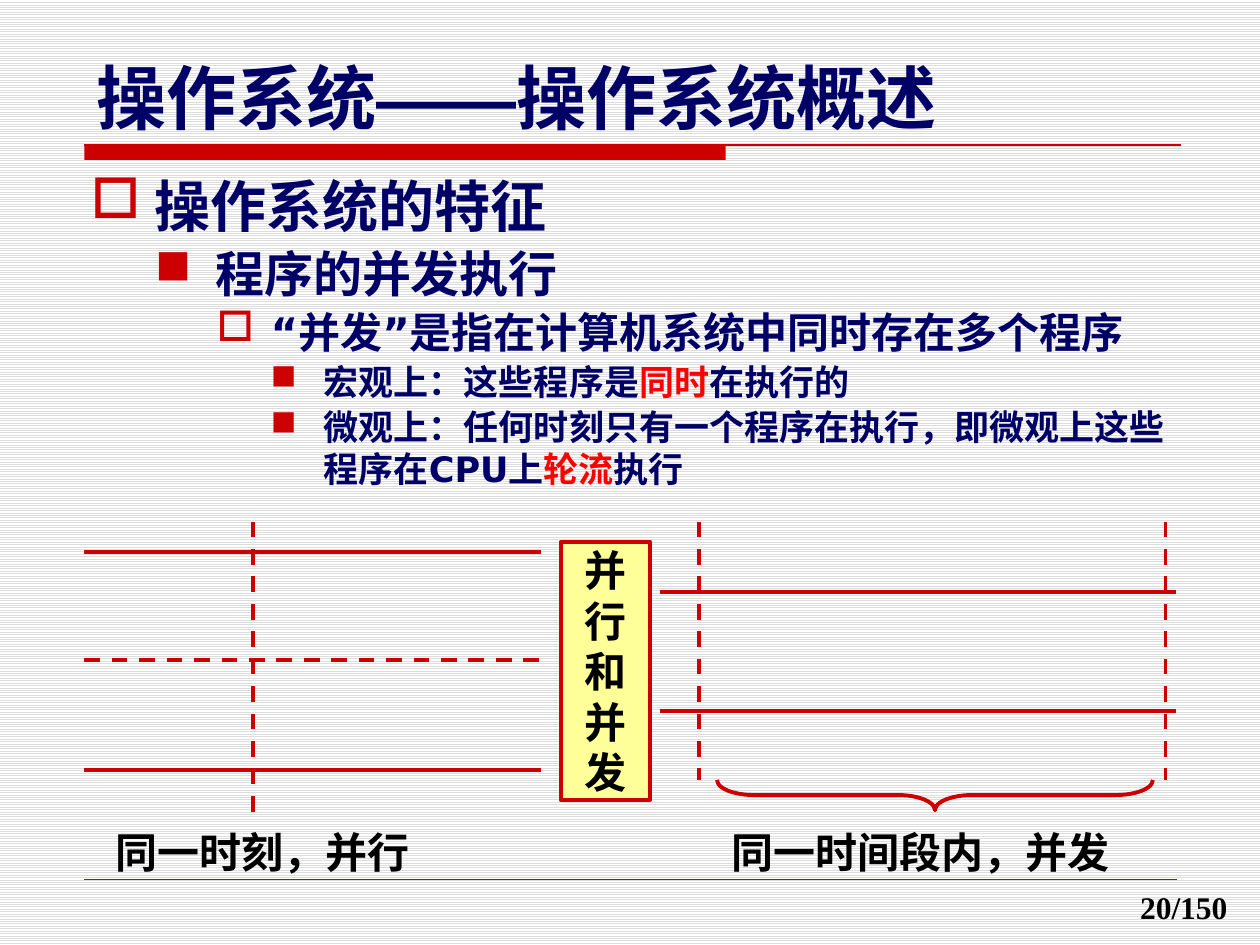
"""Build a slide on concurrent and parallel execution of programs."""
from lxml.etree import SubElement
from pptx import Presentation
from pptx.dml.color import RGBColor
from pptx.enum.dml import MSO_LINE, MSO_PATTERN
from pptx.enum.shapes import MSO_CONNECTOR, MSO_SHAPE
from pptx.enum.text import MSO_ANCHOR, PP_ALIGN
from pptx.oxml.ns import qn
from pptx.util import Inches, Pt

RED, NAVY, BLACK, HOT = "CC0000", "000066", "000000", "FF0000"
SANS = "DejaVu Sans"
color = RGBColor.from_string


def add_run(para, text, size, tint, face=SANS):
    run = para.add_run()
    run.text = text
    form = {"size": Pt(size), "bold": True, "name": face}
    for key, val in form.items():
        setattr(run.font, key, val)
    run.font.color.rgb = color(tint)
    SubElement(run.font._element, qn("a:ea"), typeface=face)


def add_line(x1, y1, x2, y2, width=2.25, dash=None):
    ends = [Inches(v) for v in (x1, y1, x2, y2)]
    line = slide.shapes.add_connector(MSO_CONNECTOR.STRAIGHT, *ends)
    line.line.color.rgb = color(RED)
    form = {"width": Pt(width), "dash_style": dash}
    for key, val in form.items():
        setattr(line.line, key, val)
    SubElement(line._element.spPr, qn("a:effectLst"))


prs = Presentation()
prs.slide_width, prs.slide_height = Inches(10), Inches(7.5)
slide = prs.slides.add_slide(prs.slide_layouts[6])
back = slide.background.fill
back.patterned()
back.pattern = MSO_PATTERN.LIGHT_HORIZONTAL
back.fore_color.rgb = color("DDDDDD")
back.back_color.rgb = color("FFFFFF")

# name: preset, frame, fill, line width
shapes = {
    "bar": (MSO_SHAPE.RECTANGLE, (0.67, 1.15, 5.09, 0.12), RED, 0),
    "brace": (MSO_SHAPE.RIGHT_BRACE, (7.3, 4.58, 0.24, 3.46), None, 2.25),
    "label": (MSO_SHAPE.RECTANGLE, (4.45, 4.3, 0.71, 2.05), "FFFF99", 2.25),
}
made = {}
for name, (kind, frame, fill, width) in shapes.items():
    shape = slide.shapes.add_shape(kind, *[Inches(v) for v in frame])
    shape.shadow.inherit = False
    if fill:
        shape.fill.solid()
        shape.fill.fore_color.rgb = color(fill)
    else:
        shape.fill.background()
    if width:
        shape.line.color.rgb = color(RED)
        shape.line.width = Pt(width)
    else:
        shape.line.fill.background()
    made[name] = shape

made["brace"].rotation = 90
made["brace"].adjustments[0] = 1.222
made["brace"].adjustments[1] = 0.5
frame = made["label"].text_frame
frame.word_wrap = True
frame.vertical_anchor = MSO_ANCHOR.MIDDLE
frame.paragraphs[0].alignment = PP_ALIGN.CENTER
add_run(frame.paragraphs[0], "并行和并发", 24, BLACK)

add_line(0.67, 1.15, 9.37, 1.15, 0.75)
add_line(0.67, 6.98, 9.34, 6.98, 0.25)
for y, dash in ((4.38, None), (5.24, MSO_LINE.DASH), (6.11, None)):
    add_line(0.67, y, 4.29, y, dash=dash)
for y in (4.7, 5.64):
    add_line(5.24, y, 9.33, y)
for x, end in ((2.01, 6.51), (5.55, 6.19), (9.25, 6.19)):
    add_line(x, 4.14, x, end, dash=MSO_LINE.DASH)

notes = [
    ((0.67, 0.38, 6.89, 0.77), 40, NAVY,
     [("操作系统", SANS), ("——", "Arial"), ("操作系统概述", SANS)]),
    ((8.95, 7, 0.94, 0.41), 18, BLACK, [("20/150", "Times New Roman")]),
    ((0.82, 6.51, 2.55, 0.5), 24, BLACK, [("同一时刻，并行", SANS)]),
    ((5.71, 6.51, 3.22, 0.5), 24, BLACK, [("同一时间段内，并发", SANS)]),
]
for spot, size, tint, runs in notes:
    box = slide.shapes.add_textbox(*[Inches(v) for v in spot])
    box.text_frame.word_wrap = False
    for text, face in runs:
        add_run(box.text_frame.paragraphs[0], text, size, tint, face)

# level: size, left margin, hanging indent
levels = [(32, 0.51, 0.51), (28, 0.99, 0.48), (24, 1.43, 0.43), (20, 1.85, 0.42)]
points = [
    (0, [("操作系统的特征", NAVY)]),
    (1, [("程序的并发执行", NAVY)]),
    (2, [("“并发”是指在计算机系统中同时存在多个程序", NAVY)]),
    (3, [("宏观上：这些程序是", NAVY), ("同时", HOT), ("在执行的", NAVY)]),
    (3, [("微观上：任何时刻只有一个程序在执行，即微观上这些程序在CPU上", NAVY),
         ("轮流", HOT), ("执行", NAVY)]),
]
body = slide.shapes.add_textbox(Inches(0.62), Inches(1.31), Inches(8.75), Inches(6.19))
frame = body.text_frame
frame.word_wrap = True
for i, (level, runs) in enumerate(points):
    para = frame.add_paragraph() if i else frame.paragraphs[0]
    size, left, hang = levels[level]
    props = para._p.get_or_add_pPr()
    props.set("marL", str(Inches(left)))
    props.set("indent", str(-Inches(hang)))
    tint = SubElement(props, qn("a:buClr"))
    SubElement(tint, qn("a:srgbClr"), val=RED)
    SubElement(props, qn("a:buChar"), char="□■"[level % 2])
    para.level = level
    if i:
        para.space_before = Pt(size * 0.1)
    for text, shade in runs:
        add_run(para, text, size, shade)

prs.save("out.pptx")
